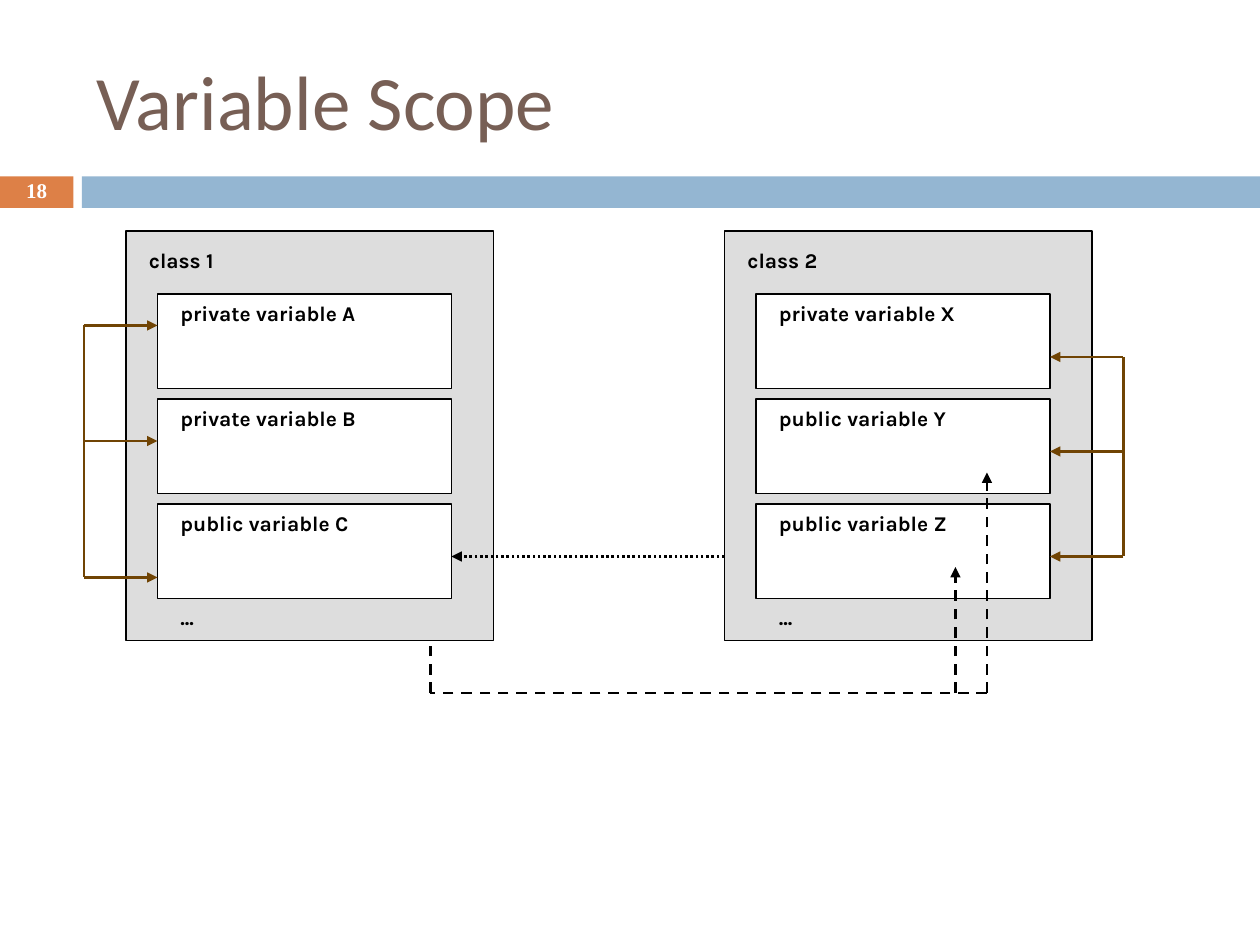
from dataclasses import dataclass

from lxml import etree
from pptx import Presentation
from pptx.dml.color import RGBColor
from pptx.enum.dml import MSO_LINE
from pptx.enum.shapes import MSO_CONNECTOR, MSO_SHAPE
from pptx.enum.text import MSO_ANCHOR, PP_ALIGN
from pptx.oxml.ns import qn
from pptx.util import Inches, Pt

RECT = MSO_SHAPE.RECTANGLE
STRAIGHT = MSO_CONNECTOR.STRAIGHT
DASH, DOT = MSO_LINE.DASH, MSO_LINE.ROUND_DOT
TOP, MIDDLE = MSO_ANCHOR.TOP, MSO_ANCHOR.MIDDLE
LEFT, CENTER = PP_ALIGN.LEFT, PP_ALIGN.CENTER


@dataclass(frozen=True)
class Theme:
    title: str = "775F55"
    accent: str = "DD8047"
    band: str = "94B6D2"
    panel: str = "DDDDDD"
    paper: str = "FFFFFF"
    ink: str = "000000"
    inner: str = "704404"
    big: int = 44
    small: int = 12
    border: float = 1
    stroke: float = 1.5
    head: str = "Calibri"
    body: str = "Karla"
    number: str = "Times New Roman"


class Board:
    """Draws on a grid of 120 columns by 90 rows, twelve to the inch."""

    def __init__(self, slide, theme):
        self.shapes = slide.shapes
        self.theme = theme

    def grid(self, *cells):
        return [Inches(cell / 12) for cell in cells]

    def box(self, x, y, w, h, fill, edge=None):
        box = self.shapes.add_shape(RECT, *self.grid(x, y, w, h))
        box.shadow.inherit = False
        box.fill.solid()
        box.fill.fore_color.rgb = RGBColor.from_string(fill)
        if edge:
            box.line.color.rgb = RGBColor.from_string(edge)
            box.line.width = Pt(self.theme.border)
        else:
            box.line.fill.background()

    def text(self, x, y, w, h, words, size=None, face=None, color=None,
             bold=True, anchor=TOP, align=LEFT, lead=1.0):
        frame = self.shapes.add_textbox(*self.grid(x, y, w, h)).text_frame
        frame.word_wrap = True
        frame.vertical_anchor = anchor
        frame.text = words
        para = frame.paragraphs[0]
        para.alignment = align
        para.line_spacing = lead
        font = para.runs[0].font
        font.size = Pt(size or self.theme.small)
        font.name = face or self.theme.body
        font.bold = bold
        font.color.rgb = RGBColor.from_string(color or self.theme.ink)

    def line(self, start, end, color, dash=None, tip=True):
        """Draws a straight line, with an arrowhead at its end if tip is set."""
        link = self.shapes.add_connector(STRAIGHT, *self.grid(*start, *end))
        link.line.color.rgb = RGBColor.from_string(color)
        link.line.width = Pt(self.theme.stroke)
        if dash:
            link.line.dash_style = dash
        if tip:
            etree.SubElement(link.line._get_or_add_ln(), qn("a:tailEnd"), type="triangle")
        etree.SubElement(link._element.spPr, qn("a:effectLst"))

    def panel(self, x, name, fields):
        """Draws a class with its stack of variables."""
        theme = self.theme
        self.box(x, 22, 35, 39, theme.panel, theme.ink)
        self.text(x + 1, 23, 27, 3.6, name)
        for i, field in enumerate(fields):
            y = 28 + 10 * i
            self.box(x + 3, y, 28, 9, theme.paper, theme.ink)
            self.text(x + 4, y, 24, 3.6, field)
        self.text(x + 4, 57, 7, 3.6, "...")

    def fork(self, x, edge, rows):
        """Joins variables of one class by a spine with an arrow to each."""
        color = self.theme.inner
        self.line((x, rows[0]), (x, rows[-1]), color, tip=False)
        for y in rows:
            self.line((x, y), (edge, y), color)


def main():
    theme = Theme()
    deck = Presentation()
    deck.slide_width, deck.slide_height = Inches(10), Inches(7.5)
    board = Board(deck.slides.add_slide(deck.slide_layouts[6]), theme)

    board.box(0, 16.8, 7, 3, theme.accent)
    board.box(7.8, 16.8, 112.2, 3, theme.band)
    board.text(8, 3, 115 - 3, 13, "Variable Scope", theme.big, theme.head,
               theme.title, bold=False, anchor=MIDDLE)
    board.text(0, 16.7, 7, 3.2, "18", face=theme.number, color=theme.paper,
               anchor=MIDDLE, align=CENTER, lead=0.8)

    board.panel(12, "class 1", ("private variable A", "private variable B", "public variable C"))
    board.panel(69, "class 2", ("private variable X", "public variable Y", "public variable Z"))

    board.fork(8, 15, (31, 42, 55))
    board.fork(107, 100, (34, 43, 53))

    board.line((69, 53), (43, 53), theme.ink, DOT)
    board.line((41, 66), (41, 61), theme.ink, DASH, tip=False)
    board.line((94, 66), (41, 66), theme.ink, DASH, tip=False)
    for x, y in ((91, 54), (94, 45)):
        board.line((x, 66), (x, y), theme.ink, DASH)

    deck.save("out.pptx")


if __name__ == "__main__":
    main()
